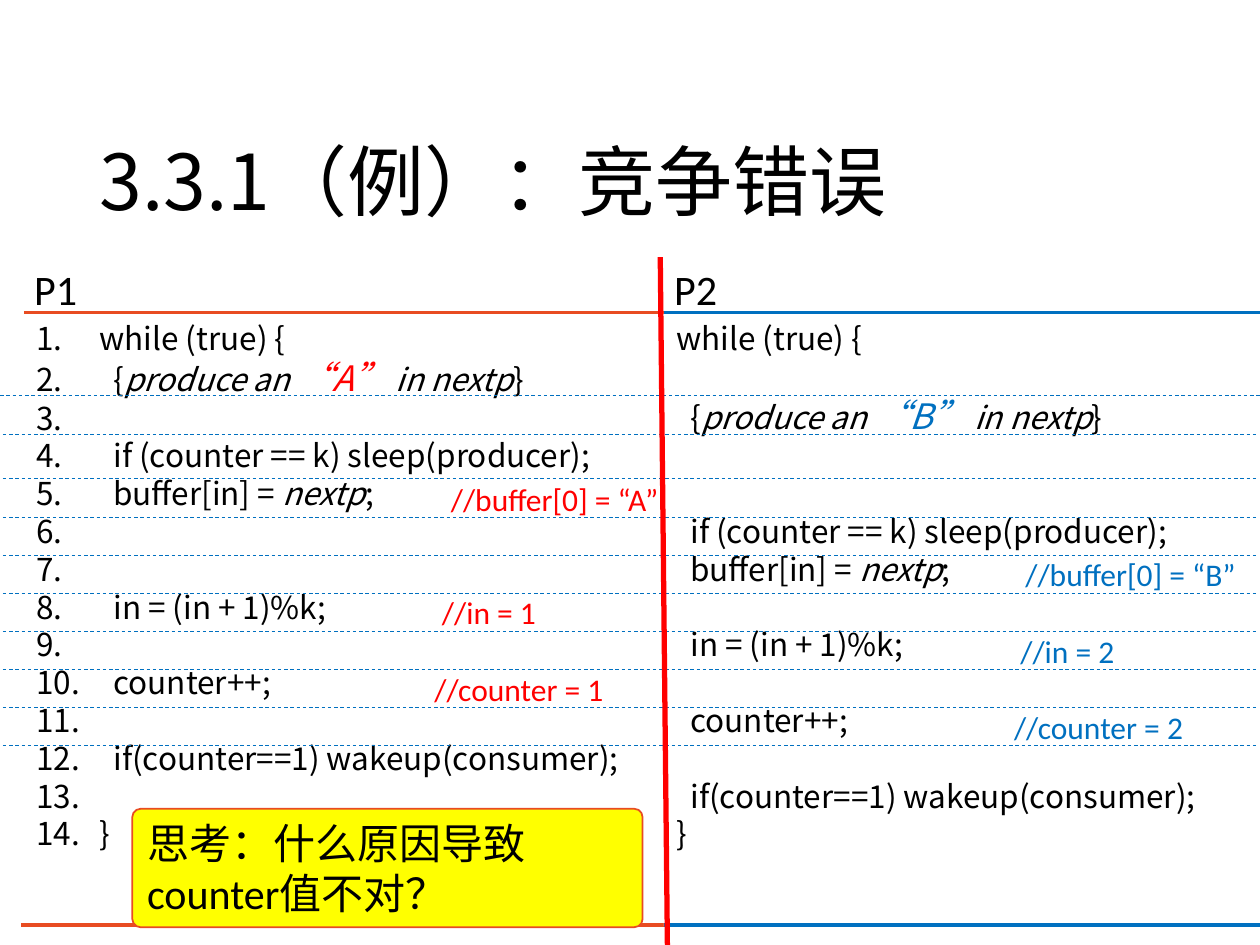
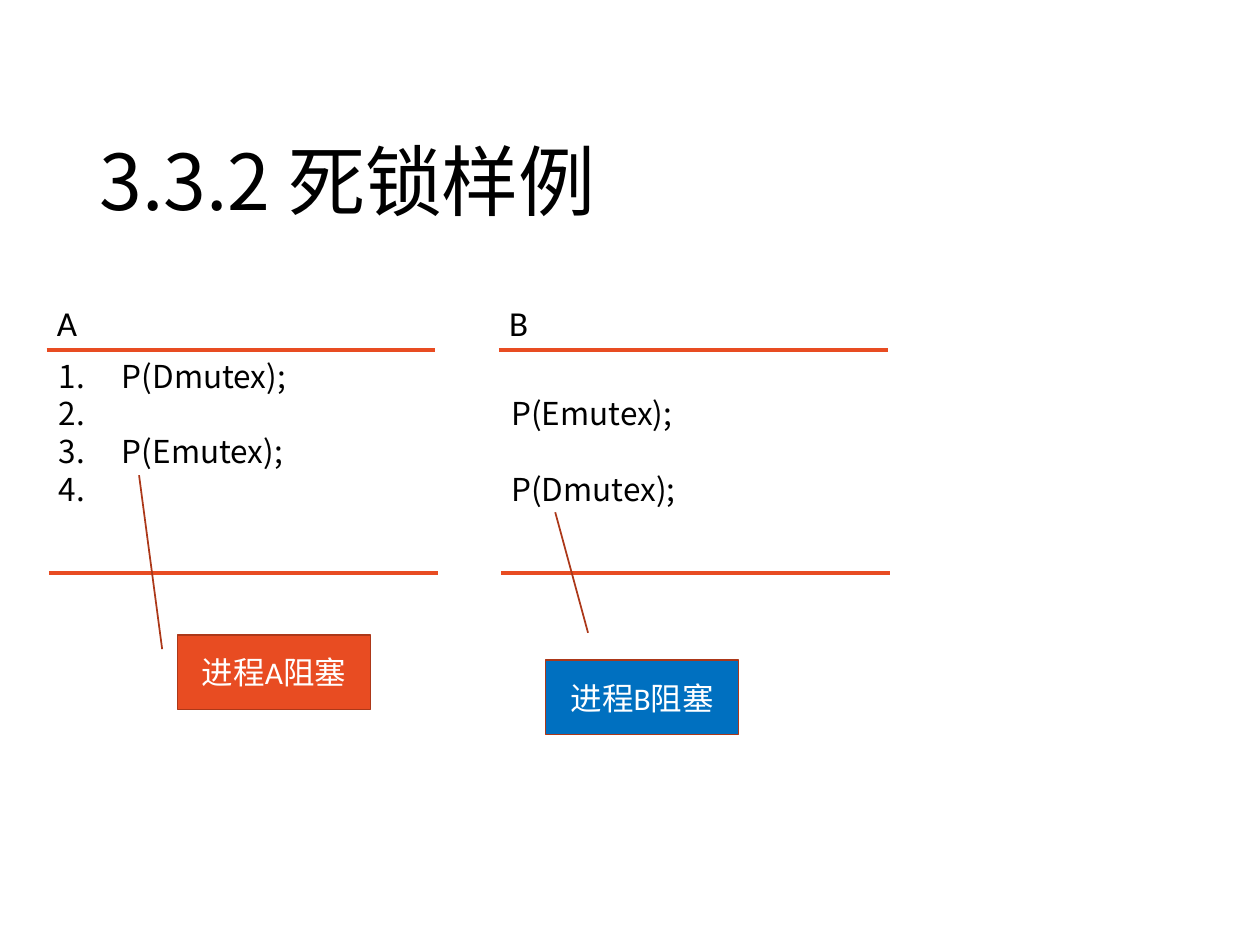
from dataclasses import dataclass

from lxml.etree import SubElement
from pptx import Presentation
from pptx.dml.color import RGBColor
from pptx.enum.dml import MSO_LINE
from pptx.enum.shapes import MSO_CONNECTOR, MSO_SHAPE
from pptx.enum.text import MSO_ANCHOR, MSO_AUTO_SIZE, PP_ALIGN
from pptx.oxml.ns import qn
from pptx.util import Pt


@dataclass(frozen=True)
class Theme:
    black: str = "000000"
    white: str = "FFFFFF"
    orange: str = "E84C22"
    rust: str = "AC3819"
    blue: str = "0070C0"
    red: str = "FF0000"
    yellow: str = "FFFF00"
    code_font: str = "Noto Sans CJK SC"
    note_font: str = "Calibri"
    title_size: int = 44
    heading_size: int = 24
    quote_size: int = 20
    text_size: int = 18
    line_pitch: float = 21.6
    quote_pitch: float = 24
    inset: float = 3.6
    number_indent: int = 36


THEME = Theme()
ITALIC = {"italic": True}


def produce_line(item, color):
    quote = {"italic": True, "size": THEME.quote_size, "color": color}
    return [("  {", {}), ("produce an ", ITALIC), (f"“{item}”", quote),
            (" in nextp", ITALIC), ("}", {})]


def plain(text):
    return [(text, {})]


# Content: the producer's statements, in order, and the row each process runs them in
def producer(item, color):
    return [
        plain("while (true) {"),
        produce_line(item, color),
        plain("  if (counter == k) sleep(producer);"),
        [("  buffer[in] = ", {}), ("nextp", ITALIC), (";", {})],
        plain("  in = (in + 1)%k;"),
        plain("  counter++;"),
        plain("  if(counter==1) wakeup(consumer);"),
        plain("}"),
    ]


P1_ROWS = dict(zip((1, 2, 4, 5, 8, 10, 12, 14), producer("A", THEME.red)))
P2_ROWS = dict(zip((1, 3, 6, 7, 9, 11, 13, 14), producer("B", THEME.blue)))
A_ROWS = {1: plain("P(Dmutex);"), 3: plain("P(Emutex);")}
B_ROWS = {2: plain("P(Emutex);"), 4: plain("P(Dmutex);")}

RACE = {
    "title": "3.3.1（例）：竞争错误",
    "top": 178.6, "height": 350.6, "bottom_rule": 528.5,
    "label_size": THEME.heading_size, "label_height": 31.7,
    "columns": [
        {"label": "P1", "left": 13.7, "width": 413.3, "shift": -1.5,
         "color": THEME.orange, "rows": P1_ROWS, "numbers": 14},
        {"label": "P2", "left": 379.4, "width": 340.6, "shift": 0,
         "color": THEME.blue, "rows": P2_ROWS, "numbers": 0},
    ],
}
DEADLOCK = {
    "title": "3.3.2 死锁样例",
    "top": 200.2, "height": 131, "bottom_rule": 327.6,
    "label_size": THEME.quote_size, "label_height": 31.7,
    "columns": [
        {"label": "A", "left": 26.6, "width": 222.2, "shift": 1.4,
         "color": THEME.orange, "rows": A_ROWS, "numbers": 4},
        {"label": "B", "left": 285.1, "width": 222.2, "shift": 1.4,
         "color": THEME.orange, "rows": B_ROWS, "numbers": 0},
    ],
}

# Results written beside the code: text, left, top, colour
RESULTS = [
    ("//buffer[0] = “A”", 250.6, 270.7, THEME.red),
    ("//buffer[0] = “B”", 578.9, 313.9, THEME.blue),
    ("//in = 1", 245.5, 335.5, THEME.red),
    ("//in = 2", 576, 357.8, THEME.blue),
    ("//counter = 1", 241.2, 379.4, THEME.red),
    ("//counter = 2", 572.4, 401, THEME.blue),
]
QUESTION = "思考：什么原因导致counter值不对？"
ROW_RULES = [248.4] + [273.6 + 21.8 * step for step in range(8)]

# Callouts: text, left, top, fill, pointer ends
BLOCKED = [
    ("进程A阻塞", 101.5, 362.9, THEME.orange, (0.19, -0.08, -2.15, -0.2)),
    ("进程B阻塞", 311.8, 377.3, THEME.blue, (-0.37, 0.22, -1.99, 0.05)),
]


# Text helpers
def add_span(para, text, font=THEME.code_font, size=THEME.text_size,
             color=THEME.black, italic=None):
    span = para.add_run()
    span.text = text
    values = {"name": font, "size": Pt(size), "italic": italic}
    for name, value in values.items():
        setattr(span.font, name, value)
    span.font.color.rgb = RGBColor.from_string(color)
    east_asian = SubElement(span.font._element, qn("a:ea"))
    east_asian.set("typeface", THEME.code_font)


def format_frame(frame, **changes):
    values = {"word_wrap": True, "auto_size": MSO_AUTO_SIZE.NONE,
              "vertical_anchor": MSO_ANCHOR.TOP}
    for name, value in {**values, **changes}.items():
        setattr(frame, name, value)


def number_paragraph(para):
    properties = para._p.get_or_add_pPr()
    indent = Pt(THEME.number_indent)
    properties.set("marL", str(indent))
    properties.set("indent", str(-indent))
    SubElement(properties, qn("a:buFont")).set("typeface", "+mj-lt")
    SubElement(properties, qn("a:buAutoNum")).set("type", "arabicPeriod")


# Shape helpers
def add_line(page, start, end, color, width, dash=None):
    points = [Pt(value) for value in (*start, *end)]
    line = page.shapes.add_connector(MSO_CONNECTOR.STRAIGHT, *points)
    line.line.color.rgb = RGBColor.from_string(color)
    line.line.width = Pt(width)
    if dash:
        line.line.dash_style = dash
    SubElement(line._element.spPr, qn("a:effectLst"))


def add_panel(page, kind, bounds, fill, outline=None):
    panel = page.shapes.add_shape(kind, *[Pt(value) for value in bounds])
    panel.shadow.inherit = False
    panel.fill.solid()
    panel.fill.fore_color.rgb = RGBColor.from_string(fill)
    if outline:
        panel.line.color.rgb = RGBColor.from_string(outline)
        panel.line.width = Pt(1)
    else:
        panel.line.fill.background()
    return panel


def add_note(page, text, bounds, size, color=THEME.black, wrap=True):
    box = page.shapes.add_textbox(*[Pt(value) for value in bounds])
    format_frame(box.text_frame, word_wrap=wrap)
    add_span(box.text_frame.paragraphs[0], text, THEME.note_font, size, color)


# Code listing: numbered rows all show, skipped unnumbered rows become space
def write_code(frame, rows, numbers):
    format_frame(frame)
    shown = range(1, numbers + 1) if numbers else sorted(rows)
    previous = 0
    for row in shown:
        para = frame.paragraphs[0] if previous == 0 else frame.add_paragraph()
        spans = rows.get(row, plain(" "))
        quoted = any("size" in style for _, style in spans)
        gap = (row - previous - 1) * THEME.line_pitch
        para.alignment = PP_ALIGN.LEFT
        para.line_spacing = Pt(THEME.quote_pitch if quoted else THEME.line_pitch)
        if previous == 0:
            frame.margin_top = Pt(THEME.inset + gap)
        elif gap:
            para.space_before = Pt(gap)
        if numbers:
            number_paragraph(para)
        for text, style in spans:
            add_span(para, text, **style)
        previous = row


def add_column(page, listing, column):
    left, width, top = column["left"], column["width"], listing["top"]
    panel = add_panel(page, MSO_SHAPE.RECTANGLE,
                      (left, top, width, listing["height"]), THEME.white)
    write_code(panel.text_frame, column["rows"], column["numbers"])
    for y, shift in ((top, 0), (listing["bottom_rule"], column["shift"])):
        add_line(page, (left + shift, y), (left + shift + width, y),
                 column["color"], 2.25)
    add_note(page, column["label"],
             (left - 1.2, top - listing["label_height"], width, listing["label_height"]),
             listing["label_size"])


def add_page(deck, listing):
    page = deck.slides.add_slide(deck.slide_layouts[5])
    title = page.shapes.title
    bounds = {"left": 49.7, "top": 28.8, "width": 620.6, "height": 104.4}
    for name, value in bounds.items():
        setattr(title, name, Pt(value))
    format_frame(title.text_frame, vertical_anchor=MSO_ANCHOR.BOTTOM)
    para = title.text_frame.paragraphs[0]
    para.alignment = PP_ALIGN.LEFT
    para.line_spacing = 0.9
    add_span(para, listing["title"], size=THEME.title_size)
    for column in listing["columns"]:
        add_column(page, listing, column)
    return page


def build_race(deck):
    page = add_page(deck, RACE)
    # Row guides and the divider between the processes
    add_line(page, (0, 226), (720, 226), THEME.blue, 0.5, MSO_LINE.DASH)
    for y in ROW_RULES:
        add_line(page, (-2, y), (718, y), THEME.blue, 0.5, MSO_LINE.DASH)
    add_line(page, (381.6, 562.3), (377.3, 146.9), THEME.red, 3)
    for text, left, top, color in RESULTS:
        add_note(page, text, (left, top, 139, 28.8), THEME.text_size, color, wrap=False)
    # Question
    box = add_panel(page, MSO_SHAPE.ROUNDED_RECTANGLE, (75.6, 462.2, 291.6, 67.7),
                    THEME.yellow, THEME.orange)
    box.adjustments[0] = 0.07
    format_frame(box.text_frame)
    para = box.text_frame.paragraphs[0]
    para.alignment = PP_ALIGN.LEFT
    add_span(para, QUESTION, THEME.note_font, THEME.heading_size)


def build_deadlock(deck):
    page = add_page(deck, DEADLOCK)
    for text, left, top, fill, pointer in BLOCKED:
        callout = add_panel(page, MSO_SHAPE.LINE_CALLOUT_1, (left, top, 110.2, 42.5),
                            fill, THEME.rust)
        for index, value in enumerate(pointer):
            callout.adjustments[index] = value
        format_frame(callout.text_frame, vertical_anchor=MSO_ANCHOR.MIDDLE)
        para = callout.text_frame.paragraphs[0]
        para.alignment = PP_ALIGN.CENTER
        add_span(para, text, THEME.note_font, color=THEME.white)


def main():
    deck = Presentation()
    deck.slide_width, deck.slide_height = Pt(720), Pt(540)
    build_race(deck)
    build_deadlock(deck)
    deck.save("out.pptx")


if __name__ == "__main__":
    main()
